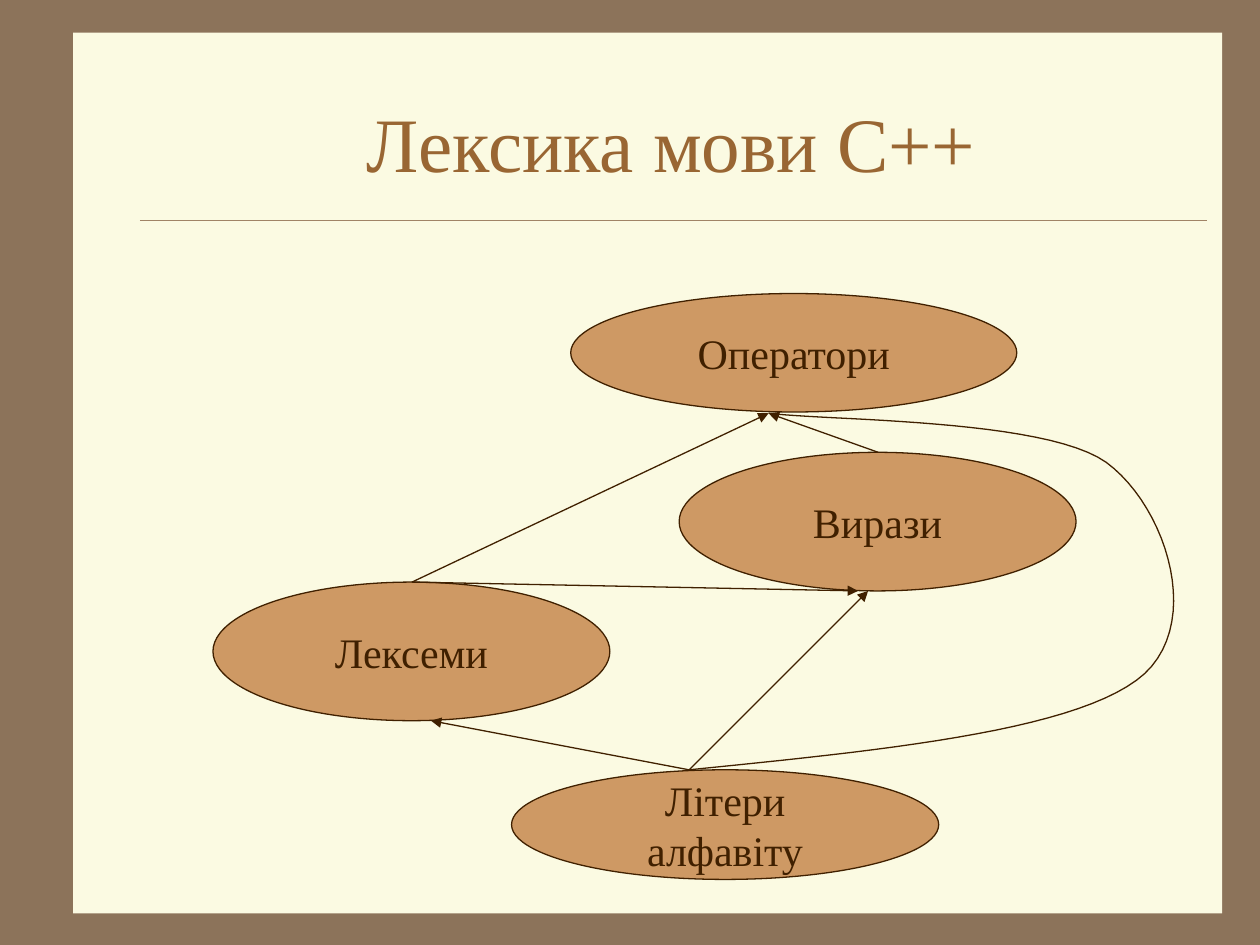
import pptx
import pptx.util
import pptx.dml.color
import pptx.enum.shapes
import pptx.enum.text
import pptx.oxml.ns
from lxml import etree

Inches, Pt = pptx.util.Inches, pptx.util.Pt
RGBColor = pptx.dml.color.RGBColor
SHAPE = pptx.enum.shapes.MSO_SHAPE
qn = pptx.oxml.ns.qn

FRAME = RGBColor(0x8C, 0x73, 0x5A)
PAPER = RGBColor(0xFB, 0xFA, 0xE2)
RULE = RGBColor(0xA0, 0x83, 0x66)
TITLE = RGBColor(0x99, 0x66, 0x33)
NODE = RGBColor(0xCE, 0x99, 0x64)
INK = RGBColor(0x40, 0x20, 0x00)
FONT = "Times New Roman"

# Left, top, width, height in inches; \v is a line break
PAPER_BOX = (0.58, 0.26, 9.12, 6.99)
TITLE_BOX = (1.08, 0.5, 8.5, 1.25)
NODES = [
    ("Літери\vалфавіту", (4.06, 6.11, 3.39, 0.87)),
    ("Лексеми", (1.69, 4.62, 3.15, 1.1)),
    ("Вирази", (5.39, 3.59, 3.15, 1.1)),
    ("Оператори", (4.53, 2.33, 3.54, 0.94)),
]
LETTERS_TOP, LEXEMES_TOP, EXPRESSIONS_TOP = (5.47, 6.11), (3.27, 4.62), (6.97, 3.59)
OPERATORS_BOTTOM = (6.1, 3.28)
ARROWS = [
    (LETTERS_TOP, (3.42, 5.72)),
    (LETTERS_TOP, (6.89, 4.69)),
    (LEXEMES_TOP, (6.81, 4.69)),
    (LEXEMES_TOP, OPERATORS_BOTTOM),
    (EXPRESSIONS_TOP, OPERATORS_BOTTOM),
]
# Cubic segments from letters to operators: two controls and an end point
CURVE = [
    ((6.97, 5.96), (8.46, 5.81), (9.02, 5.4)),
    ((9.57, 5), (9.27, 4.03), (8.78, 3.67)),
    ((8.29, 3.32), (6.55, 3.34), OPERATORS_BOTTOM),
]
STEPS = 24


def write(s, text, size, color, wrap):
    tf = s.text_frame
    tf.word_wrap = wrap
    tf.vertical_anchor = pptx.enum.text.MSO_ANCHOR.MIDDLE
    p = tf.paragraphs[0]
    p.text = text
    p.alignment = pptx.enum.text.PP_ALIGN.CENTER
    for r in p.runs:
        for name, value in {"name": FONT, "size": Pt(size)}.items():
            setattr(r.font, name, value)
        r.font.color.rgb = color


def set_line(s, color, width):
    s.line.color.rgb = color
    s.line.width = Pt(width)


def add_filled(shapes, kind, box, fill):
    s = shapes.add_shape(kind, *map(Inches, box))
    s.shadow.inherit = False
    s.fill.solid()
    s.fill.fore_color.rgb = fill
    s.line.fill.background()
    return s


def add_line(shapes, start, end, color, width, arrow=False):
    s = shapes.add_connector(pptx.enum.shapes.MSO_CONNECTOR.STRAIGHT,
                             *map(Inches, start + end))
    set_line(s, color, width)
    sp_pr = s.element.spPr
    if arrow:
        etree.SubElement(sp_pr.find(qn("a:ln")), qn("a:tailEnd"), type="triangle")
    etree.SubElement(sp_pr, qn("a:effectLst"))


def curve_points(start, segments):
    """Sample the joined cubic segments, leaving out the start point."""
    points = []
    for c1, c2, end in segments:
        for t in (i / STEPS for i in range(1, STEPS + 1)):
            u = 1 - t
            points.append(tuple(
                u**3 * a + 3 * u * u * t * b + 3 * u * t * t * c + t**3 * d
                for a, b, c, d in zip(start, c1, c2, end)))
        start = end
    return points


def add_curve(shapes, start, segments):
    # The builder rounds to whole units, so points are given in EMU
    builder = shapes.build_freeform(*map(Inches, start), scale=1.0)
    builder.add_line_segments(
        [tuple(map(Inches, point)) for point in curve_points(start, segments)],
        close=False)
    s = builder.convert_to_shape()
    s.shadow.inherit = False
    s.fill.background()
    set_line(s, INK, 0.75)


def main():
    prs = pptx.Presentation()
    prs.slide_width, prs.slide_height = Inches(10), Inches(7.5)
    slide = prs.slides.add_slide(prs.slide_layouts[6])
    slide.background.fill.solid()
    slide.background.fill.fore_color.rgb = FRAME
    shapes = slide.shapes

    add_filled(shapes, SHAPE.RECTANGLE, PAPER_BOX, PAPER)
    add_line(shapes, (1.11, 1.75), (9.58, 1.75), RULE, 0.25)
    write(shapes.add_textbox(*map(Inches, TITLE_BOX)),
          "Лексика мови C++", 44, TITLE, True)

    for text, box in NODES:
        s = add_filled(shapes, SHAPE.OVAL, box, NODE)
        set_line(s, INK, 0.75)
        write(s, text, 24, INK, False)
    for start, end in ARROWS:
        add_line(shapes, start, end, INK, 0.75, arrow=True)
    add_curve(shapes, LETTERS_TOP, CURVE)

    prs.save("out.pptx")


if __name__ == "__main__":
    main()
